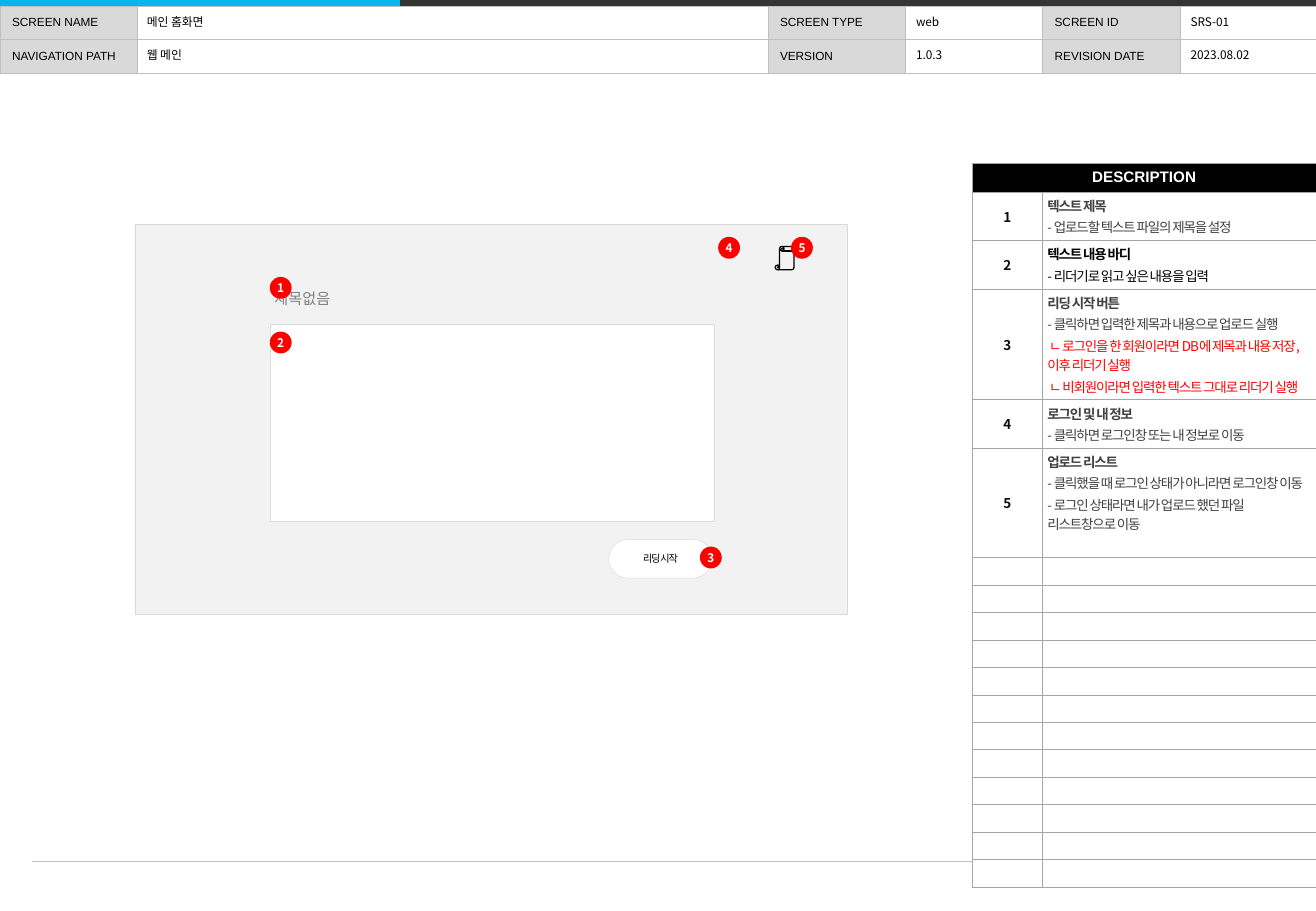
from lxml.etree import SubElement
from pptx import Presentation
from pptx.dml.color import RGBColor
from pptx.enum.shapes import MSO_CONNECTOR, MSO_SHAPE
from pptx.enum.text import MSO_ANCHOR, PP_ALIGN
from pptx.oxml.ns import qn
from pptx.util import Inches, Pt

COLORS = {"black": "000000", "white": "FFFFFF", "ink": "0D0D0D", "body": "404040",
          "hint": "808080", "red": "FF0000", "blue": "0BB3F1", "dark": "343434",
          "label": "D9D9D9", "rule": "BFBFBF", "grid": "A6A6A6", "canvas": "F2F2F2"}
LATIN, KOREAN = "Arial", "Noto Sans CJK KR"

LABELS = [["SCREEN NAME", "", "SCREEN TYPE", "", "SCREEN ID", ""],
          ["NAVIGATION PATH", "", "VERSION", "", "REVISION DATE", ""]]
LABEL_WIDTHS = [1.13, 5.19, 1.13, 1.13, 1.13, 1.13]
VALUES = [(1.11, 5.22, ["메인 홈화면", "웹 메인"]),
          (7.44, 1.12, ["web", "1.0.3"]),
          (9.7, 1.12, ["SRS-01", "2023.08.02"])]
DESCRIPTIONS = [
    (0.4, "body", "텍스트 제목", ["- 업로드할 텍스트 파일의 제목을 설정"]),
    (0.4, "black", "텍스트 내용 바디", ["- 리더기로 읽고 싶은 내용을 입력"]),
    (0.91, "body", "리딩 시작 버튼",
     ["- 클릭하면 입력한 제목과 내용으로 업로드 실행",
      " ㄴ 로그인을 한 회원이라면 DB에 제목과 내용 저장, 이후 리더기 실행",
      " ㄴ 비회원이라면 입력한 텍스트 그대로 리더기 실행"]),
    (0.4, "body", "로그인 및 내 정보", ["- 클릭하면 로그인창 또는 내 정보로 이동"]),
    (0.9, "body", "업로드 리스트",
     ["- 클릭했을 때 로그인 상태가 아니라면 로그인창 이동",
      "- 로그인 상태라면 내가 업로드 했던 파일 리스트창으로 이동"])]
SPARE_ROWS, SPARE_HEIGHT, TITLE_HEIGHT = 12, 0.226, 0.24
RULES = [((0.26, 7.09), (10.57, 7.09), "rule", 0.5),
         ((0, 0.02), (3.29, 0.02), "blue", 4),
         ((3.29, 0.02), (10.83, 0.02), "dark", 4)]
BADGES = [(2.22, 2.28), (2.22, 2.73), (5.76, 4.5), (5.91, 1.95), (6.51, 1.95)]
BADGE_SIZE = 0.18


def rgb(color):
    return RGBColor.from_string(COLORS[color])


def write(frame, text, size=8, font=KOREAN, color="black", bold=False,
          align=PP_ALIGN.LEFT, spacing=0, before=0, line=None, more=False):
    paragraph = frame.add_paragraph() if more else frame.paragraphs[0]
    paragraph.alignment = align
    paragraph.space_before = Pt(before)
    paragraph.line_spacing = line
    if not text:
        SubElement(paragraph._p, qn("a:endParaRPr"), sz=str(size * 100))
        return
    run = paragraph.add_run()
    run.text = text
    run.font.size, run.font.name, run.font.bold = Pt(size), font, bold
    run.font.color.rgb = rgb(color)
    properties = run._r.get_or_add_rPr()
    SubElement(properties, qn("a:ea"), typeface=font)
    if spacing:
        properties.set("spc", str(round(spacing * 100)))


def set_margins(holder, horizontal, vertical):
    holder.margin_left = holder.margin_right = Inches(horizontal)
    holder.margin_top = holder.margin_bottom = Inches(vertical)


def add_rule(start, end, color, width):
    rule = slide.shapes.add_connector(MSO_CONNECTOR.STRAIGHT, *map(Inches, start + end))
    rule.line.color.rgb = rgb(color)
    rule.line.width = Pt(width)
    SubElement(rule._element.spPr, qn("a:effectLst"))


def add_box(preset, box, fill=None, line=None, width=0.25):
    shape = slide.shapes.add_shape(preset, *map(Inches, box))
    shape.shadow.inherit = False
    if fill:
        shape.fill.solid()
        shape.fill.fore_color.rgb = rgb(fill)
    else:
        shape.fill.background()
    if line:
        shape.line.color.rgb = rgb(line)
        shape.line.width = Pt(width)
    else:
        shape.line.fill.background()
    return shape


def add_text(box, text, anchor=MSO_ANCHOR.MIDDLE, wrap=True, **style):
    frame = slide.shapes.add_textbox(*map(Inches, box)).text_frame
    frame.word_wrap = wrap
    frame.vertical_anchor = anchor
    write(frame, text, **style)


def add_grid(left, top, widths, heights):
    grid = slide.shapes.add_table(len(heights), len(widths), Inches(left), Inches(top),
                                  Inches(sum(widths)), Inches(sum(heights))).table
    grid.first_row = grid.horz_banding = False
    for column, width in zip(grid.columns, widths):
        column.width = Inches(width)
    for row, height in zip(grid.rows, heights):
        row.height = Inches(height)
    return grid


def style_cell(cell, fill, border, anchor=MSO_ANCHOR.MIDDLE):
    properties = cell._tc.get_or_add_tcPr()
    for side in ("lnL", "lnR", "lnT", "lnB"):
        edge = SubElement(properties, qn("a:" + side), w=str(Pt(0.25)))
        paint = SubElement(edge, qn("a:solidFill"))
        SubElement(paint, qn("a:srgbClr"), val=COLORS[border])
    cell.fill.solid()
    cell.fill.fore_color.rgb = rgb(fill)
    cell.vertical_anchor = anchor


deck = Presentation()
deck.slide_width, deck.slide_height = Inches(10.83), Inches(7.5)
slide = deck.slides.add_slide(deck.slide_layouts[6])

for rule in RULES:
    add_rule(*rule)

screen_info = add_grid(0, 0.05, LABEL_WIDTHS, [0.275] * len(LABELS))
for r, labels in enumerate(LABELS):
    for c, label in enumerate(labels):
        cell = screen_info.cell(r, c)
        style_cell(cell, "label" if label else "white", "rule")
        write(cell.text_frame, label, size=7, font=LATIN)

for left, width, values in VALUES:
    for r, value in enumerate(values):
        add_text((left, 0.05 + 0.27 * r, width, 0.28), value, size=7, line=0.9)

heights = [TITLE_HEIGHT] + [row[0] for row in DESCRIPTIONS] + [SPARE_HEIGHT] * SPARE_ROWS
description = add_grid(8, 1.34, [0.58, 2.25], heights)
for r in range(len(heights)):
    for c, anchor in enumerate((MSO_ANCHOR.MIDDLE, MSO_ANCHOR.TOP)):
        cell = description.cell(r, c)
        style_cell(cell, "white" if r else "black", "grid", anchor)
        set_margins(cell, 0.04 * c, 0.03)
        if r > len(DESCRIPTIONS):
            write(cell.text_frame, "")
heading = description.cell(0, 0)
heading.merge(description.cell(0, 1))
write(heading.text_frame, "DESCRIPTION", size=9, font=LATIN, color="white", bold=True,
      align=PP_ALIGN.CENTER)
for number, (_, color, topic, details) in enumerate(DESCRIPTIONS, 1):
    write(description.cell(number, 0).text_frame, str(number), color="ink", bold=True,
          align=PP_ALIGN.CENTER, spacing=-0.7)
    notes = description.cell(number, 1).text_frame
    write(notes, topic, color=color, bold=True, spacing=-0.7, before=1)
    for detail in details:
        write(notes, detail, color=color if detail.startswith("-") else "red",
              spacing=-0.7, before=1, more=True)

add_box(MSO_SHAPE.RECTANGLE, (1.11, 1.85, 5.86, 3.21), "canvas", "label")
add_box(MSO_SHAPE.RECTANGLE, (2.22, 2.67, 3.66, 1.62), "white", "label")
start_button = add_box(MSO_SHAPE.ROUNDED_RECTANGLE, (5.01, 4.44, 0.85, 0.32), "white", "label")
start_button.adjustments[0] = 0.5
add_text((4.99, 4.5, 0.89, 0.2), "리딩 시작", anchor=MSO_ANCHOR.BOTTOM, size=6,
         align=PP_ALIGN.CENTER, spacing=-0.7, before=1)
add_text((2.16, 2.33, 0.68, 0.25), "제목없음", anchor=MSO_ANCHOR.TOP, wrap=False,
         size=9, color="hint")
upload_list = add_box(MSO_SHAPE.VERTICAL_SCROLL, (6.38, 2.03, 0.19, 0.19), None, "black", 0.75)
upload_list.adjustments[0] = 0.19

for number, (left, top) in enumerate(BADGES, 1):
    badge = add_box(MSO_SHAPE.OVAL, (left, top, BADGE_SIZE, BADGE_SIZE), "red")
    frame = badge.text_frame
    frame.word_wrap = False
    frame.vertical_anchor = MSO_ANCHOR.MIDDLE
    set_margins(frame, 0, 0)
    write(frame, str(number), size=7, color="white", bold=True, align=PP_ALIGN.CENTER)

deck.save("out.pptx")
